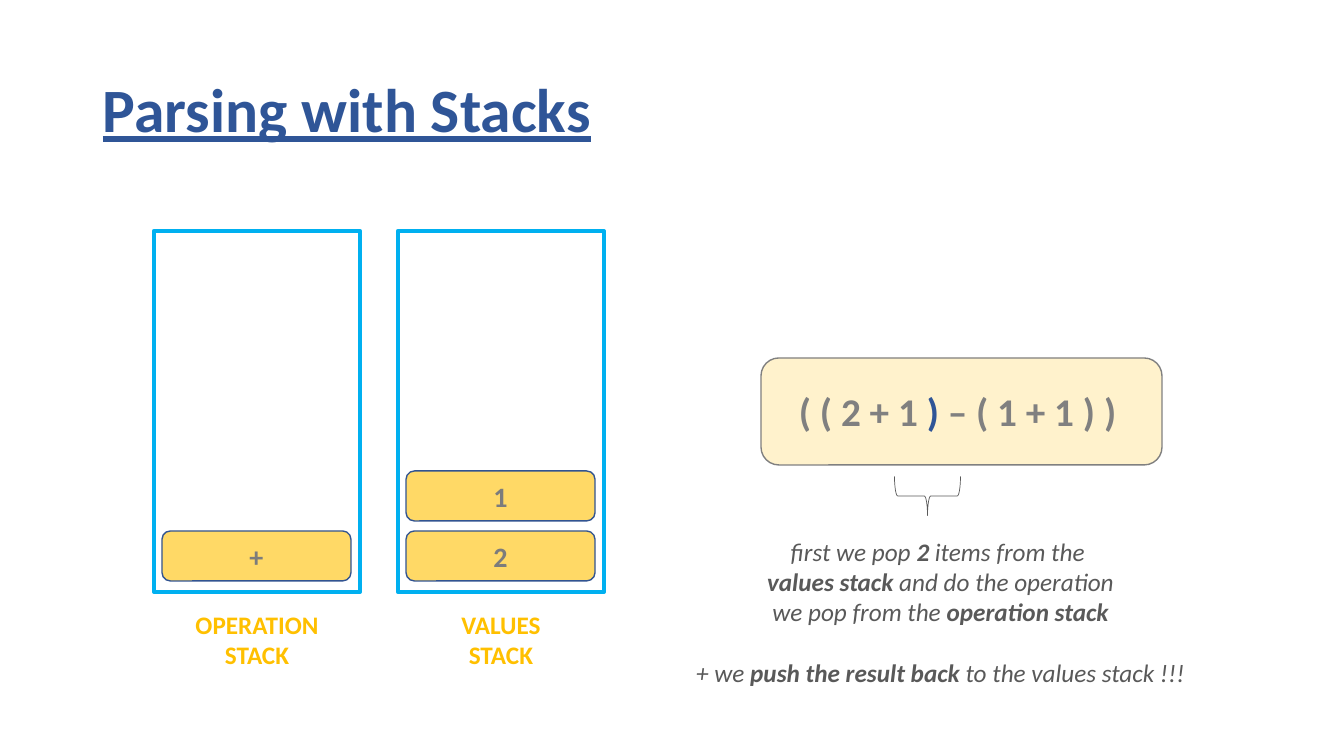
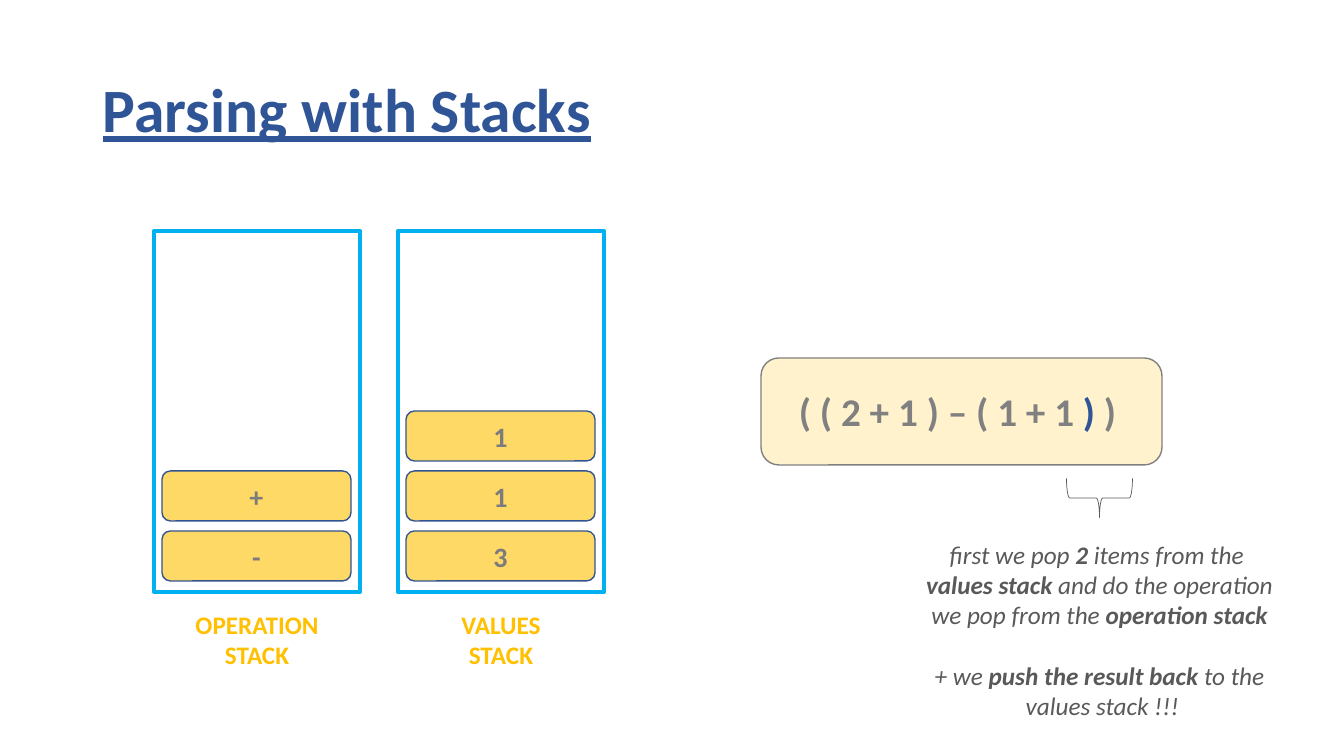
from dataclasses import dataclass

from pptx import Presentation
from pptx import util as u
from pptx.dml.color import RGBColor
from pptx.enum import shapes, text

PIXEL = 914400 / 100.8
FONT = "Calibri"
COLORS = {
    "title": "2F5597",
    "frame": "00B0F0",
    "label": "FFC000",
    "tile": "FFD966",
    "tile_line": "325491",
    "tile_text": "7C7C7C",
    "panel": "FFF2CC",
    "panel_line": "808080",
    "note": "595959",
}

# Shared geometry, in pixels
STACK_TOP, STACK_WIDTH, STACK_HEIGHT = 231, 206, 361
TILE_INSET, TILE_TOP, TILE_PITCH = 8, 531, 60
TILE_WIDTH, TILE_HEIGHT = 189, 50
LABEL_TOP, LABEL_HEIGHT = 604, 72
BRACE_WIDTH, BRACE_HEIGHT = 39, 66
NOTE_GAP = 22  # points, one line of the note


@dataclass(frozen=True)
class Box:
    left: float
    top: float
    width: float
    height: float

    def emu(self) -> list[u.Emu]:
        return [u.Emu(round(length * PIXEL))
                for length in (self.left, self.top, self.width, self.height)]


@dataclass(frozen=True)
class Stack:
    left: int
    name: str
    label_width: int


@dataclass(frozen=True)
class Step:
    """One parsing step; asterisks enclose emphasised words."""
    operations: list[str]  # bottom to top
    values: list[str]
    expression: str
    brace_left: int
    brace_top: int
    note_box: Box
    result: list[str]


OPERATION_STACK = Stack(154, "OPERATION", 144)
VALUES_STACK = Stack(398, "VALUES", 101)
PANEL = Box(761, 358, 401, 107)
EXPRESSION = Box(789, 382, 343, 57)
TITLE = Box(93, 40, 1159, 146)
POP_LINES = [
    "first we pop *2* items from the ",
    "*values stack* and do the operation",
    "we pop from the *operation stack*",
]
STEPS = [
    Step(["+"], ["2", "1"], "( ( 2 + 1 *)* – ( 1 + 1 ) )",
         908, 463, Box(683, 531, 515, 163),
         ["+ we *push the result back *to the values stack !!!"]),
    Step(["-", "+"], ["3", "1", "1"], "( ( 2 + 1 ) – ( 1 + 1 *)* )",
         1080, 465, Box(914, 534, 371, 194),
         ["+ we *push the result back *to the", " values stack !!!"]),
]


def rgb(name: str) -> RGBColor:
    return RGBColor.from_string(COLORS[name])


def write(shape, lines: list[str], *, size: float, color: str,
          bold: bool = False, italic: bool = False, underline: bool = False,
          strong_color: str | None = None, strong_bold: bool = True,
          align=text.PP_ALIGN.CENTER, anchor=text.MSO_ANCHOR.TOP,
          wrap: bool = False, line_spacing: float | None = None) -> None:
    """Fill a shape with paragraphs in one format."""
    frame = shape.text_frame
    frame.word_wrap = wrap
    frame.vertical_anchor = anchor
    for index, line in enumerate(lines):
        para = frame.add_paragraph() if index else frame.paragraphs[0]
        para.alignment = align
        para.line_spacing = line_spacing
        for part, words in enumerate(line.split("*")):
            if not words:
                continue
            strong = part % 2 == 1
            span = para.add_run()
            span.text = words
            font = span.font
            font.name, font.size = FONT, u.Pt(size)
            font.bold = strong_bold if strong else bold
            font.italic, font.underline = italic, underline
            font.color.rgb = rgb(strong_color if strong and strong_color else color)


def add_text(page, box: Box, lines: list[str], **style):
    shape = page.shapes.add_textbox(*box.emu())
    write(shape, lines, **style)
    return shape


def add_shape(page, kind, box: Box, *, line: str, width: float,
              fill: str | None = None):
    shape = page.shapes.add_shape(kind, *box.emu())
    shape.shadow.inherit = False
    if fill:
        shape.fill.solid()
        shape.fill.fore_color.rgb = rgb(fill)
    else:
        shape.fill.background()
    shape.line.color.rgb = rgb(line)
    shape.line.width = u.Pt(width)
    return shape


def draw_stack(page, stack: Stack, items: list[str]) -> None:
    frame = Box(stack.left, STACK_TOP, STACK_WIDTH, STACK_HEIGHT)
    add_shape(page, shapes.MSO_SHAPE.RECTANGLE, frame, line="frame", width=3)
    label_left = stack.left + (STACK_WIDTH - stack.label_width) / 2
    add_text(page, Box(label_left, LABEL_TOP, stack.label_width, LABEL_HEIGHT),
             [stack.name, "STACK"], size=18, color="label", bold=True)
    for level, item in enumerate(items):
        box = Box(stack.left + TILE_INSET, TILE_TOP - level * TILE_PITCH,
                  TILE_WIDTH, TILE_HEIGHT)
        tile = add_shape(page, shapes.MSO_SHAPE.ROUNDED_RECTANGLE, box,
                         fill="tile", line="tile_line", width=1)
        write(tile, [item], size=20, color="tile_text", bold=True,
              anchor=text.MSO_ANCHOR.MIDDLE, wrap=True)


def draw_expression(page, expression: str) -> None:
    add_shape(page, shapes.MSO_SHAPE.ROUNDED_RECTANGLE, PANEL,
              fill="panel", line="panel_line", width=1)
    add_text(page, EXPRESSION, [expression], size=28, color="panel_line",
             bold=True, strong_color="title", align=text.PP_ALIGN.LEFT)


def draw_note(page, step: Step) -> None:
    brace = add_shape(page, shapes.MSO_SHAPE.RIGHT_BRACE,
                      Box(step.brace_left, step.brace_top, BRACE_WIDTH, BRACE_HEIGHT),
                      line="note", width=0.5)
    brace.rotation = 90
    note = add_text(page, step.note_box, POP_LINES + step.result,
                    size=18, color="note", italic=True)
    note.text_frame.paragraphs[len(POP_LINES)].space_before = u.Pt(NOTE_GAP)


def draw_step(page, step: Step) -> None:
    add_text(page, TITLE, ["Parsing with Stacks"], size=44, color="title",
             bold=True, underline=True, align=text.PP_ALIGN.LEFT,
             anchor=text.MSO_ANCHOR.MIDDLE, wrap=True, line_spacing=0.9)
    draw_stack(page, OPERATION_STACK, step.operations)
    draw_stack(page, VALUES_STACK, step.values)
    draw_expression(page, step.expression)
    draw_note(page, step)


# Build the deck
deck = Presentation()
deck.slide_width, deck.slide_height = Box(0, 0, 1344, 756).emu()[2:]
for step in STEPS:
    draw_step(deck.slides.add_slide(deck.slide_layouts[6]), step)
deck.save("out.pptx")
